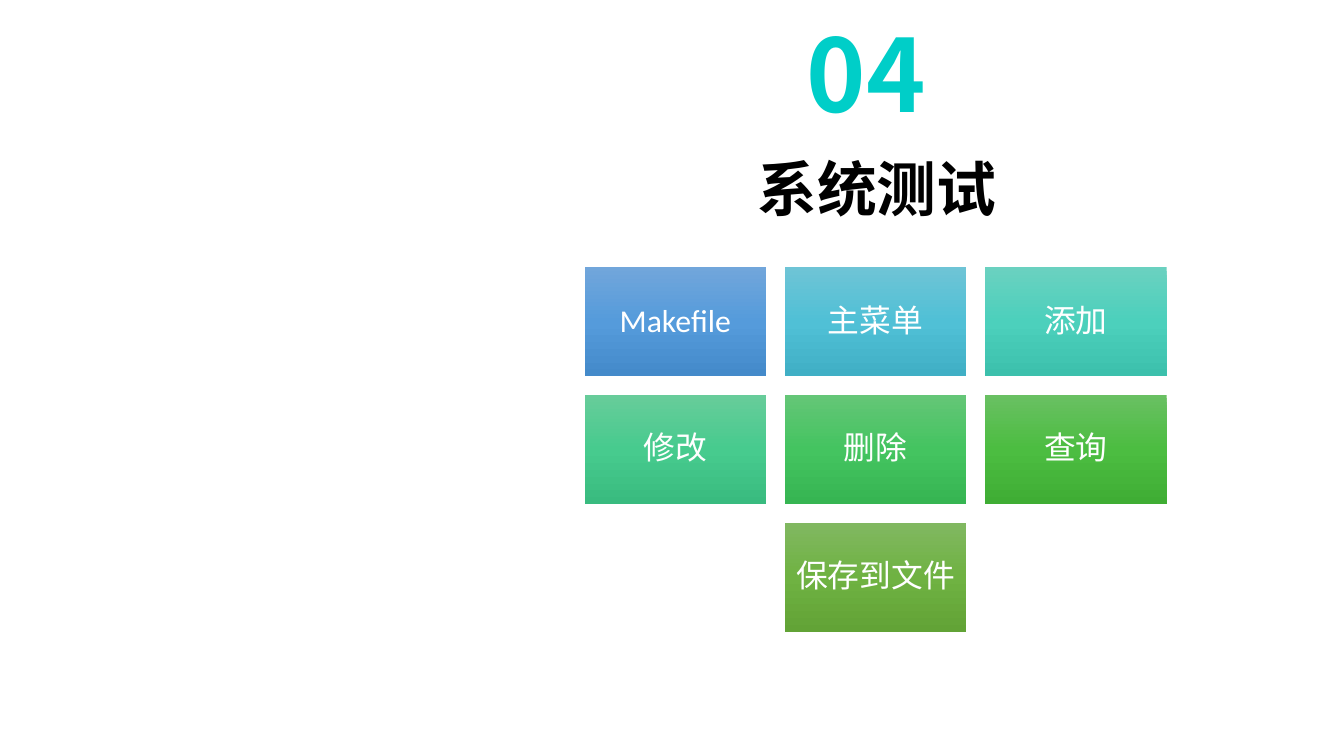
"""Build the section slide "系统测试" with its grid of test items."""
from copy import deepcopy

from lxml import etree
from pptx import Presentation
from pptx import util as u
from pptx.dml.color import RGBColor
from pptx.enum import shapes, text
from pptx.oxml.ns import qn

COLORS = {"accent": "00CEC8", "heading": "000000", "label": "FFFFFF"}
CJK_FONT = "Noto Sans CJK SC"
ITEMS = [
    ("Makefile", 0, 0, ("71A6DB", "559BDB", "448ACA")),
    ("主菜单", 1, 0, ("6EC4D6", "50C0D6", "40AFC5")),
    ("添加", 2, 0, ("6AD1C0", "4CD0BC", "3CC0AC")),
    ("修改", 0, 1, ("67CC9A", "47CB8E", "39BB7F")),
    ("删除", 1, 1, ("64C677", "44C460", "36B552")),
    ("查询", 2, 1, ("69C062", "4CBD41", "3FAD34")),
    ("保存到文件", 1, 2, ("81B861", "6FB242", "62A336")),
]
GRID_LEFT, GRID_TOP = 4.35, 1.99
COLUMN, ROW = 1.49, 0.95
TILE_WIDTH, TILE_HEIGHT = 1.35, 0.81


def place(shape, left, top, width, height):
    """Move and size a shape in inches."""
    shape.left, shape.top = u.Inches(left), u.Inches(top)
    shape.width, shape.height = u.Inches(width), u.Inches(height)


def write(shape, wording, size, font, color, bold, anchor):
    """Write one centred run into a shape."""
    frame = shape.text_frame
    frame.word_wrap = True
    frame.auto_size = text.MSO_AUTO_SIZE.NONE
    frame.vertical_anchor = anchor
    paragraph = frame.paragraphs[0]
    paragraph.alignment = text.PP_ALIGN.CENTER
    paragraph.space_before = u.Pt(0)
    run = paragraph.add_run()
    run.text = wording
    run.font.size = u.Pt(size)
    run.font.bold = bold
    run.font.name = font
    run.font.color.rgb = RGBColor.from_string(COLORS[color])
    east_asian = etree.SubElement(run.font._element, qn("a:ea"))
    east_asian.set("typeface", CJK_FONT)
    return paragraph


presentation = Presentation()
presentation.slide_width = u.Inches(10)
presentation.slide_height = u.Inches(10 * 9 / 16)
slide = presentation.slides.add_slide(presentation.slide_layouts.get_by_name("Section Header"))

title, number = slide.placeholders
place(number, 5.14, -0.14, 2.61, 1.36)
write(number, "04", 54, CJK_FONT, "accent", True, text.MSO_ANCHOR.MIDDLE)
place(title, 4.08, 1.08, 4.89, 1.83)
write(title, "系统测试", 32, CJK_FONT, "heading", True, text.MSO_ANCHOR.TOP)

for label, column, row, gradient in ITEMS:
    tile = slide.shapes.add_shape(shapes.MSO_SHAPE.RECTANGLE, 0, 0, 0, 0)
    place(tile, GRID_LEFT + column * COLUMN, GRID_TOP + row * ROW, TILE_WIDTH, TILE_HEIGHT)
    tile.shadow.inherit = False
    tile.line.fill.background()
    tile.fill.gradient()
    tile.fill.gradient_angle = 270
    stop_list = tile._element.spPr.find(".//" + qn("a:gsLst"))
    stop_list.append(deepcopy(stop_list[0]))
    for stop, color, position in zip(tile.fill.gradient_stops, gradient, (0, 0.5, 1)):
        stop.color.rgb = RGBColor.from_string(color)
        stop.position = position
    frame = tile.text_frame
    frame.margin_left = frame.margin_right = u.Inches(0.07)
    frame.margin_top = frame.margin_bottom = u.Inches(0.07)
    paragraph = write(tile, label, 17, "Calibri", "label", False, text.MSO_ANCHOR.MIDDLE)
    paragraph.line_spacing = 0.9

presentation.save("out.pptx")
